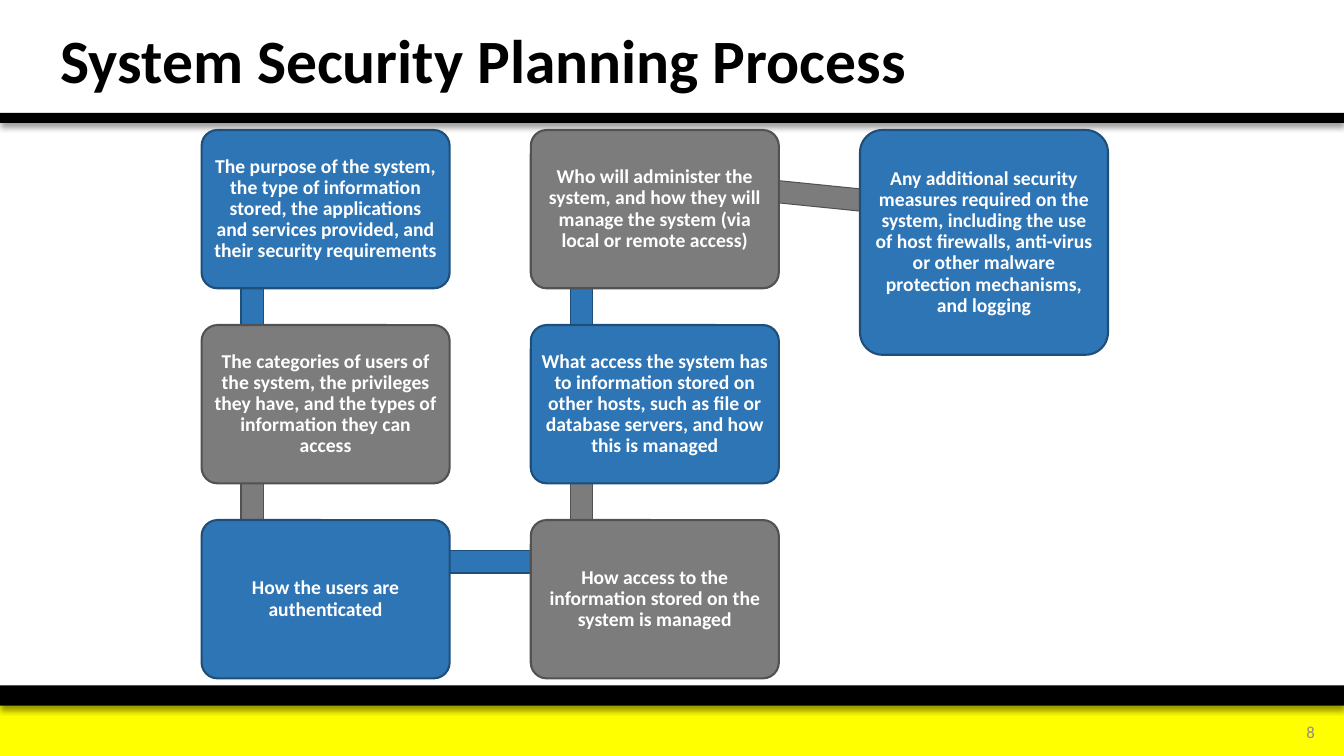
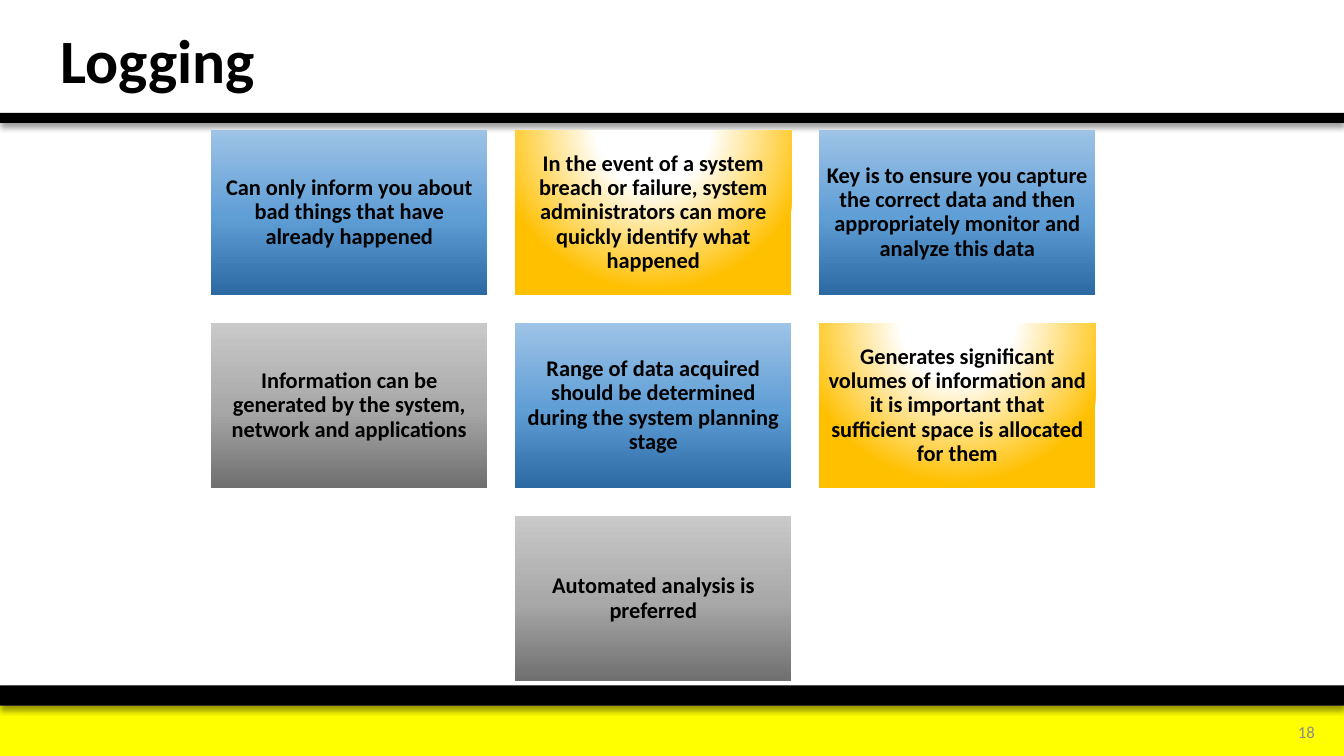
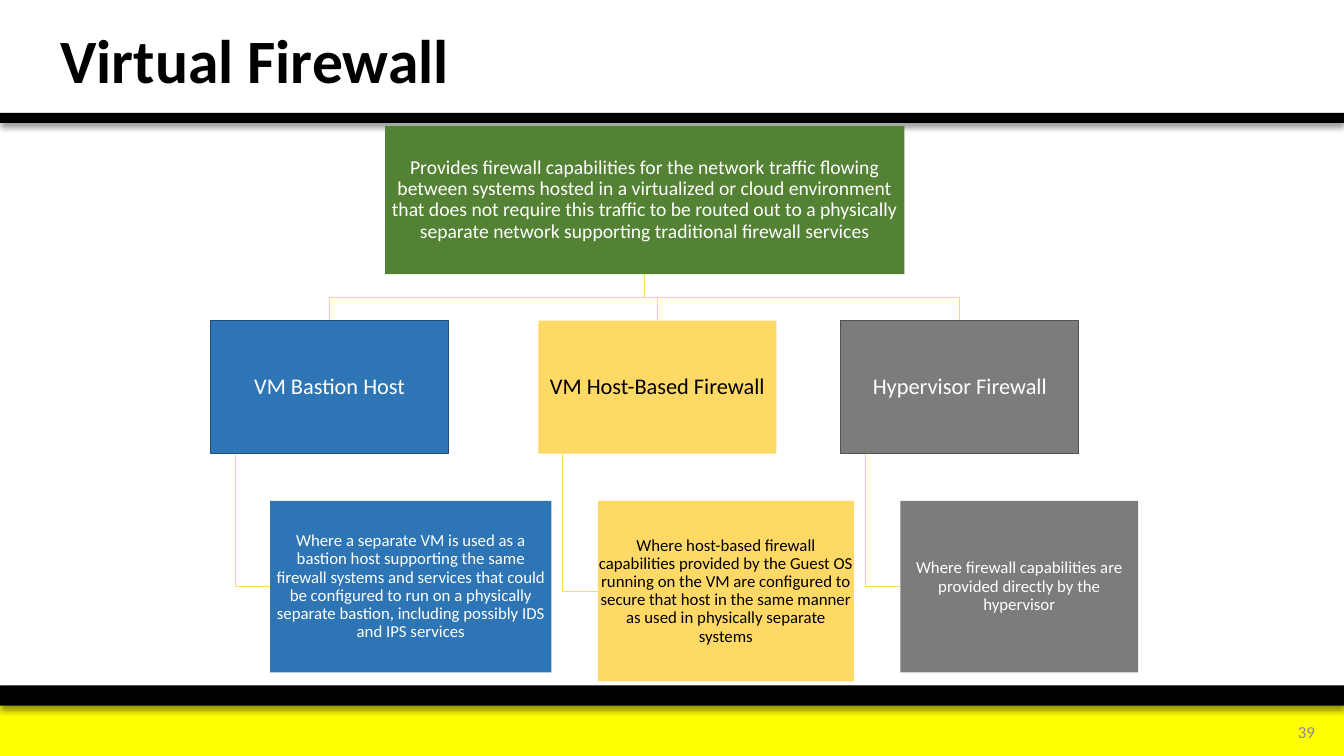
from math import atan2, degrees, hypot

from pptx import Presentation
from pptx.dml.color import RGBColor
from pptx.enum.shapes import MSO_SHAPE
from pptx.enum.text import MSO_ANCHOR, PP_ALIGN
from pptx.oxml import parse_xml
from pptx.util import Inches, Pt

RECT = MSO_SHAPE.RECTANGLE
ROUNDED = MSO_SHAPE.ROUNDED_RECTANGLE
MIDDLE = MSO_ANCHOR.MIDDLE
LEFT, CENTER, RIGHT = PP_ALIGN.LEFT, PP_ALIGN.CENTER, PP_ALIGN.RIGHT

FONT = "Calibri"
BLACK = RGBColor(0, 0, 0)
WHITE = RGBColor(255, 255, 255)
YELLOW = RGBColor(0xFF, 0xFF, 0x00)
BLUE = RGBColor(0x2E, 0x75, 0xB6)
DARK_BLUE = RGBColor(0x1F, 0x4E, 0x79)
GREY = RGBColor(0x7C, 0x7C, 0x7C)
DARK_GREY = RGBColor(0x52, 0x52, 0x52)
NUMBER_GREY = RGBColor(0x8C, 0x8C, 0x8C)
GREEN = RGBColor(0x54, 0x82, 0x35)
GOLD = RGBColor(0xFF, 0xD9, 0x66)

DRAWING_NS = 'xmlns:a="http://schemas.openxmlformats.org/drawingml/2006/main"'
UPWARD = '<a:lin ang="16200000" scaled="0"/>'
GLOW = ('<a:path path="circle"><a:fillToRect l="50000" t="-80000" '
        'r="50000" b="180000"/></a:path>')
GRADIENTS = {
    "blue": ([(0, "2A69A2"), (48, "609ED6"), (100, "9DC3E6")], UPWARD),
    "grey": ([(0, "6F6F6F"), (48, "A8A8A8"), (100, "C9C9C9")], UPWARD),
    "gold": ([(0, "FFFFFF"), (35, "FFFFFF"), (100, "FFC000")], GLOW),
}

SLIDE_WIDTH, SLIDE_HEIGHT = 13.33, 7.5
BANDS = [
    (7, 0.5, YELLOW, False),
    (6.8, 0.2, BLACK, True),
    (1.12, 0.1, BLACK, True),
]

PLAN_STEPS = [
    (0, 0, 1.57, "The purpose of the system, the type of information stored, the applications "
                 "and services provided, and their security requirements"),
    (0, 1, 1.57, "The categories of users of the system, the privileges they have, and the "
                 "types of information they can access"),
    (0, 2, 1.57, "How the users are authenticated"),
    (1, 2, 1.57, "How access to the information stored on the system is managed"),
    (1, 1, 1.57, "What access the system has to information stored on other hosts, such as "
                 "file or database servers, and how this is managed"),
    (1, 0, 1.57, "Who will administer the system, and how they will manage the system (via "
                 "local or remote access)"),
    (2, 0, 2.23, "Any additional security measures required on the system, including the use "
                 "of host firewalls, anti-virus or other malware protection mechanisms, and "
                 "logging"),
]

LOGGING_ROWS = [
    [("blue", "Can only inform you about bad things that have already happened"),
     ("gold", "In the event of a system breach or failure, system administrators can more "
              "quickly identify what happened"),
     ("blue", "Key is to ensure you capture the correct data and then appropriately monitor "
              "and analyze this data")],
    [("grey", "Information can be generated by the system, network and applications"),
     ("blue", "Range of data acquired should be determined during the system planning stage"),
     ("gold", "Generates significant volumes of information and it is important that "
              "sufficient space is allocated for them")],
    [("grey", "Automated analysis is preferred")],
]

FIREWALL_SUMMARY = (
    "Provides firewall capabilities for the network traffic flowing between systems hosted in "
    "a virtualized or cloud environment that does not require this traffic to be routed out to "
    "a physically separate network supporting traditional firewall services")
FIREWALL_BRANCHES = [
    (2.09, BLUE, DARK_BLUE, WHITE, "VM Bastion Host", 2.79, 1.7,
     "Where a separate VM is used as a bastion host supporting the same firewall systems and "
     "services that could be configured to run on a physically separate bastion, including "
     "possibly IDS and IPS services"),
    (5.34, GOLD, None, BLACK, "VM Host-Based Firewall", 2.54, 1.79,
     "Where host-based firewall capabilities provided by the Guest OS running on the VM are "
     "configured to secure that host in the same manner as used in physically separate systems"),
    (8.34, GREY, DARK_GREY, WHITE, "Hypervisor Firewall", 2.36, 1.7,
     "Where firewall capabilities are provided directly by the hypervisor"),
]


def write(shape, text, size, color, bold=False, align=CENTER, inset=None, spacing=0.9):
    frame = shape.text_frame
    frame.word_wrap = True
    frame.vertical_anchor = MIDDLE
    if inset is not None:
        frame.margin_left = frame.margin_right = Inches(inset)
        frame.margin_top = frame.margin_bottom = Inches(inset)
    para = frame.paragraphs[0]
    para.text = text
    para.alignment = align
    para.line_spacing = spacing
    para.font.name = FONT
    para.font.size = Pt(size)
    para.font.bold = bold
    para.font.color.rgb = color


def add_box(page, left, top, width, height, fill=None, line=None, line_width=0.75, kind=RECT):
    box = page.shapes.add_shape(kind, Inches(left), Inches(top), Inches(width), Inches(height))
    box.shadow.inherit = False
    if fill is None:
        box.fill.background()
    else:
        box.fill.solid()
        box.fill.fore_color.rgb = fill
    if line is None:
        box.line.fill.background()
    else:
        box.line.color.rgb = line
        box.line.width = Pt(line_width)
    return box


def add_drop_shadow(shape):
    effects = shape._element.spPr.find("{*}effectLst")
    effects.append(parse_xml(
        f'<a:outerShdw {DRAWING_NS} blurRad="50800" dist="38100" dir="5400000" algn="t" '
        'rotWithShape="0"><a:srgbClr val="000000"><a:alpha val="40000"/></a:srgbClr>'
        '</a:outerShdw>'))


def fill_gradient(shape, name):
    stops, direction = GRADIENTS[name]
    stop_xml = "".join(f'<a:gs pos="{pos * 1000}"><a:srgbClr val="{color}"/></a:gs>'
                       for pos, color in stops)
    properties = shape._element.spPr
    properties.replace(properties.find("{*}noFill"), parse_xml(
        f'<a:gradFill {DRAWING_NS} rotWithShape="1"><a:gsLst>{stop_xml}</a:gsLst>'
        f'{direction}</a:gradFill>'))


def add_page(deck, title, number):
    page = deck.slides.add_slide(deck.slide_layouts[5])
    for top, height, color, shadowed in BANDS:
        band = add_box(page, 0, top, SLIDE_WIDTH, height, color)
        if shadowed:
            add_drop_shadow(band)
    number_box = page.shapes.add_textbox(Inches(12.38), Inches(7.06), Inches(0.76), Inches(0.4))
    write(number_box, str(number), 12, NUMBER_GREY, align=RIGHT, spacing=1.0)
    heading = page.shapes.title
    heading.left, heading.top = Inches(0.5), Inches(0.07)
    heading.width, heading.height = Inches(10.47), Inches(1.12)
    write(heading, title, 44, BLACK, bold=True, align=LEFT)
    return page


def add_bar(page, start, end, fill, line):
    thickness = 0.22
    across, down = end[0] - start[0], end[1] - start[1]
    length = hypot(across, down)
    bar = add_box(page, (start[0] + end[0] - length) / 2, (start[1] + end[1] - thickness) / 2,
                  length, thickness, fill, line)
    bar.rotation = degrees(atan2(down, across)) % 360


def add_path(page, points):
    corners = [(Inches(x), Inches(y)) for x, y in points]
    builder = page.shapes.build_freeform(*corners[0])
    builder.add_line_segments(corners[1:], close=False)
    route = builder.convert_to_shape()
    route.shadow.inherit = False
    route.fill.background()
    route.line.color.rgb = GOLD
    route.line.width = Pt(0.5)


def build_planning(deck):
    page = add_page(deck, "System Security Planning Process", 8)
    width, column_pitch, row_pitch = 2.46, 3.265, 1.935
    styles = [(BLUE, DARK_BLUE), (GREY, DARK_GREY)]
    places = [(2 + column * column_pitch, 1.29 + row * row_pitch)
              for column, row, height, text in PLAN_STEPS]
    anchors = [(left + 0.5, top + step[2] / 2 - 0.37)
               for (left, top), step in zip(places, PLAN_STEPS)]
    for index, (start, end) in enumerate(zip(anchors, anchors[1:])):
        add_bar(page, start, end, *styles[index % 2])
    for index, ((left, top), step) in enumerate(zip(places, PLAN_STEPS)):
        fill, line = styles[index % 2]
        box = add_box(page, left, top, width, step[2], fill, line, 1.5, ROUNDED)
        box.adjustments[0] = 0.1
        write(box, step[3], 14, WHITE, bold=True, inset=0.06)


def build_logging(deck):
    page = add_page(deck, "Logging", 18)
    width, height, gap, middle = 2.74, 1.64, 0.275, 6.48
    for row, cards in enumerate(LOGGING_ROWS):
        row_width = len(cards) * (width + gap) - gap
        for column, (gradient, text) in enumerate(cards):
            card = add_box(page, middle - row_width / 2 + column * (width + gap),
                           1.29 + row * (height + gap), width, height)
            fill_gradient(card, gradient)
            write(card, text, 16, BLACK, bold=True, inset=0.07)


def build_firewall(deck):
    page = add_page(deck, "Virtual Firewall", 39)
    root_left, root_top, root_width, root_height = 3.82, 1.25, 5.15, 1.47
    branch_top, branch_width, branch_height, detail_top = 3.18, 2.36, 1.32, 4.97
    root_middle, root_bottom = root_left + root_width / 2, root_top + root_height
    branch_bottom = branch_top + branch_height
    fork = (root_bottom + branch_top) / 2
    for left, fill, line, color, name, detail_width, detail_height, detail in FIREWALL_BRANCHES:
        branch_middle, stem, detail_left = left + branch_width / 2, left + 0.24, left + 0.59
        detail_middle = detail_top + detail_height / 2
        add_path(page, [(root_middle, root_bottom), (root_middle, fork),
                        (branch_middle, fork), (branch_middle, branch_top)])
        add_path(page, [(stem, branch_bottom), (stem, detail_middle),
                        (detail_left, detail_middle)])
        branch = add_box(page, left, branch_top, branch_width, branch_height, fill, line)
        write(branch, name, 16, color, inset=0.01)
        note = add_box(page, detail_left, detail_top, detail_width, detail_height, fill)
        write(note, detail, 12, color, inset=0.01)
    root = add_box(page, root_left, root_top, root_width, root_height, GREEN)
    write(root, FIREWALL_SUMMARY, 14, WHITE, inset=0.01)


def main():
    deck = Presentation()
    deck.slide_width, deck.slide_height = Inches(SLIDE_WIDTH), Inches(SLIDE_HEIGHT)
    build_planning(deck)
    build_logging(deck)
    build_firewall(deck)
    deck.save("out.pptx")


if __name__ == "__main__":
    main()
